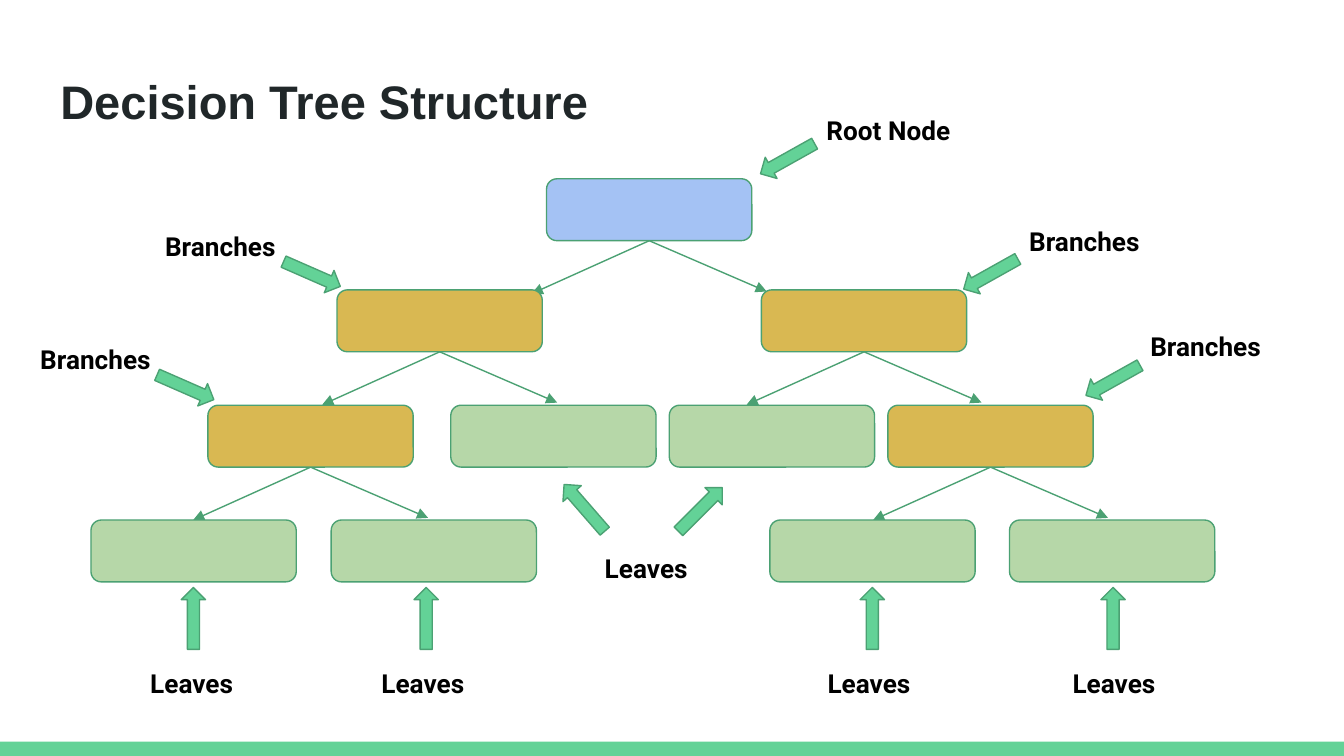
from lxml.etree import SubElement
from pptx import Presentation
from pptx.dml.color import RGBColor
from pptx.enum.shapes import MSO_CONNECTOR as Connector, MSO_SHAPE as Shape
from pptx.oxml.ns import qn
from pptx.util import Cm, Pt


def color(value):
    return RGBColor.from_string(value)


class TreeSlide:
    """Draws the elements of a decision tree diagram on one slide, in centimetres."""

    GREEN, OUTLINE = "63D297", "4BA173"
    ROOT, BRANCH, LEAF = "A4C2F4", "D9B852", "B6D7A8"
    NODE_W, NODE_H = 3.88, 1.17
    ARROW_W, ARROW_H = 1.17, 0.46
    SPREAD = 2.22

    def __init__(self, slide):
        self.shapes = slide.shapes

    def block(self, kind, x, y, width, height, fill, outline=OUTLINE):
        block = self.shapes.add_shape(kind, Cm(x), Cm(y), Cm(width), Cm(height))
        block.shadow.inherit = False
        block.fill.solid()
        block.fill.fore_color.rgb = color(fill)
        if outline:
            block.line.color.rgb = color(outline)
            block.line.width = Pt(0.75)
        else:
            block.line.fill.background()
        return block

    def node(self, x, y, fill):
        self.block(Shape.ROUNDED_RECTANGLE, x, y, self.NODE_W, self.NODE_H, fill)

    def pointer(self, x, y, angle):
        arrow = self.block(Shape.LEFT_ARROW, x, y, self.ARROW_W, self.ARROW_H, self.GREEN)
        arrow.rotation = angle

    def edge(self, x1, y1, x2, y2):
        edge = self.shapes.add_connector(
            Connector.STRAIGHT, Cm(x1), Cm(y1), Cm(x2), Cm(y2))
        edge.line.color.rgb = color(self.OUTLINE)
        edge.line.width = Pt(0.75)
        SubElement(edge.line._get_or_add_ln(), qn("a:tailEnd"), type="triangle")
        SubElement(edge._element.spPr, qn("a:effectLst"))

    def split(self, node_x, node_y):
        x, y = node_x + self.NODE_W / 2, node_y + self.NODE_H
        self.edge(x, y, x - self.SPREAD, y + 1)
        self.edge(x, y, x + self.SPREAD, y + 0.96)

    def text(self, words, x, y, width, height, size, font, ink):
        frame = self.shapes.add_textbox(Cm(x), Cm(y), Cm(width), Cm(height)).text_frame
        frame.word_wrap = True
        frame.margin_left = frame.margin_right = Cm(0.25)
        frame.margin_top = frame.margin_bottom = Cm(0.25)
        run = frame.paragraphs[0].add_run()
        run.text = words
        run.font.size = Pt(size)
        run.font.name = font
        run.font.bold = True
        run.font.color.rgb = color(ink)

    def label(self, words, x, y, width=3.02):
        self.text(words, x, y, width, 1.12, 14, "Roboto", "000000")


def main():
    deck = Presentation()
    deck.slide_width, deck.slide_height = Cm(25.4), Cm(14.29)
    tree = TreeSlide(deck.slides.add_slide(deck.slide_layouts[6]))
    root, branch, leaf = tree.ROOT, tree.BRANCH, tree.LEAF

    tree.block(Shape.RECTANGLE, 0, 14.02, 25.4, 0.27, tree.GREEN, outline=None)
    tree.text("Decision Tree Structure", 0.89, 1.12, 23.67, 1.6, 25.2, "Arial", "202729")

    levels = [
        (3.38, [(10.33, root)]),
        (5.48, [(6.37, branch), (14.39, branch)]),
        (7.66, [(3.93, branch), (8.52, leaf), (12.65, leaf), (16.78, branch)]),
        (9.83, [(1.72, leaf), (6.26, leaf), (14.55, leaf), (19.08, leaf)]),
    ]
    for y, nodes in levels:
        for x, fill in nodes:
            if fill != leaf:
                tree.split(x, y)
            tree.node(x, y, fill)

    down_left, down_right, up = 330.8, 203.6, 90
    callouts = [
        ("Root Node", 15.37, 1.91, 14.3, 2.77, down_left),
        ("Branches", 19.2, 4.01, 18.14, 4.95, down_left),
        ("Branches", 2.87, 4.11, 5.31, 4.95, down_right),
        ("Branches", 21.49, 5.99, 20.45, 6.96, down_left),
        ("Branches", 0.51, 6.25, 2.92, 7.09, down_right),
    ]
    for words, label_x, label_y, arrow_x, arrow_y, angle in callouts:
        tree.pointer(arrow_x, arrow_y, angle)
        tree.label(words, label_x, label_y)

    for label_x, arrow_x in [(2.59, 3.07), (6.96, 7.47), (15.39, 15.9), (20.02, 20.45)]:
        tree.pointer(arrow_x, 11.46, up)
        tree.label("Leaves", label_x, 12.37, 2.18)

    tree.pointer(10.46, 9.37, 49)
    tree.pointer(12.65, 9.4, 135)
    tree.label("Leaves", 11.18, 10.19, 2.18)

    deck.save("out.pptx")


if __name__ == "__main__":
    main()
